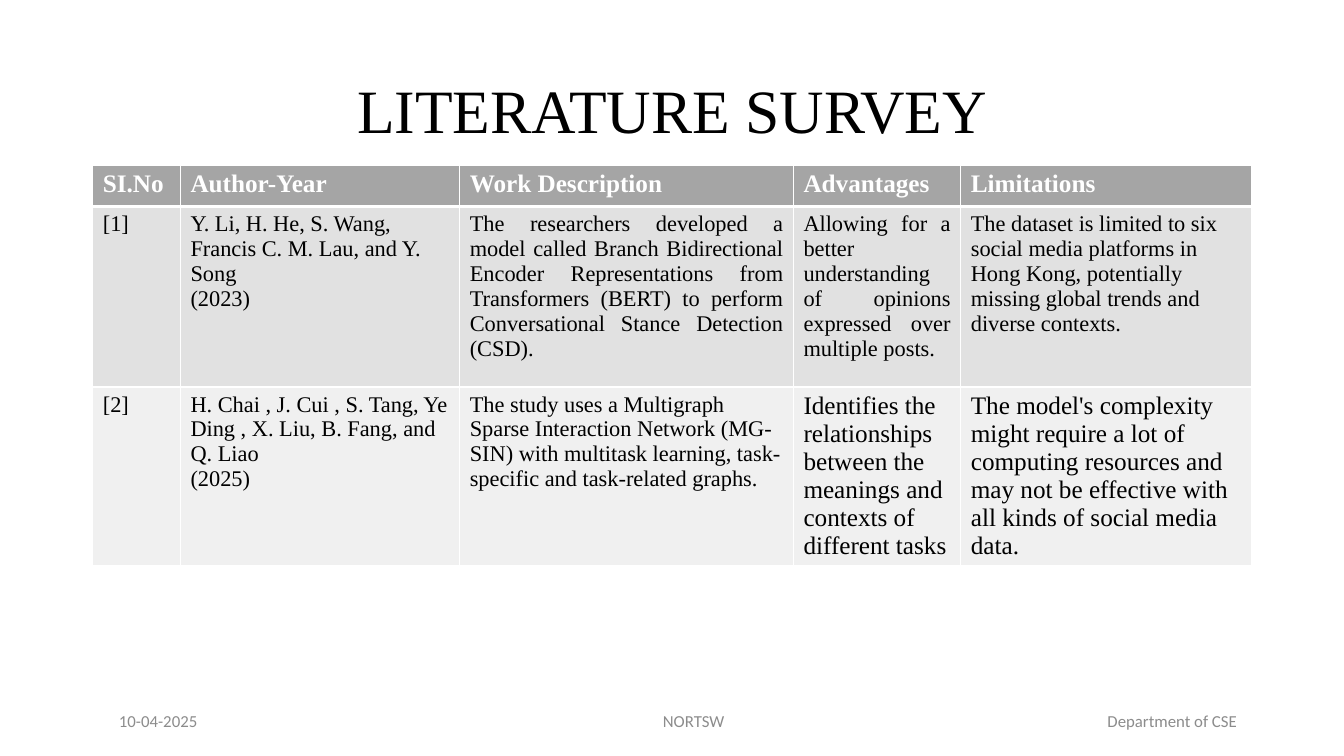
from lxml.etree import SubElement
from pptx import Presentation
from pptx.dml.color import RGBColor as RGB
from pptx.enum.text import MSO_ANCHOR as ANCHOR, PP_ALIGN as ALIGN
from pptx.oxml import parse_xml
from pptx.oxml.ns import nsdecls, qn
from pptx.util import Inches, Pt

COLORS = {"ink": "000000", "header": "A5A5A5", "odd": "E1E1E1",
          "even": "F0F0F0", "white": "FFFFFF", "footer": "8C8C8C"}
SERIF = "Times New Roman"


def write(p, text, size, color, name=SERIF, bold=False):
    """Add one formatted run to a paragraph."""
    r = p.add_run()
    r.text = text
    for key, value in {"size": Pt(size), "name": name, "bold": bold}.items():
        setattr(r.font, key, value)
    r.font.color.rgb = RGB.from_string(COLORS[color])


def add_borders(cell, bottom):
    tcPr = cell._tc.get_or_add_tcPr()
    widths = {"lnL": 1, "lnR": 1, "lnT": 1, "lnB": bottom}
    for i, (side, width) in enumerate(widths.items()):
        tcPr.insert(i, parse_xml(
            f'<a:{side} {nsdecls("a")} w="{Pt(width)}"><a:solidFill>'
            f'<a:srgbClr val="{COLORS["white"]}"/></a:solidFill></a:{side}>'))


prs = Presentation()
prs.slide_width, prs.slide_height = Inches(13.33), Inches(7.5)
s = prs.slides.add_slide(prs.slide_layouts[5])

# Title
title = s.shapes.title
title.left, title.top, title.width, title.height = map(Inches, (0.92, 0.4, 11.5, 1.45))
tf = title.text_frame
tf.vertical_anchor = ANCHOR.MIDDLE
p = tf.paragraphs[0]
p.alignment, p.line_spacing = ALIGN.CENTER, 0.9
write(p, "LITERATURE SURVEY", 44, "ink")

# Survey table
COLS = [0.87, 2.77, 3.31, 1.66, 2.88]
ROWS = [0.41, 1.79, 1.77]
SURVEY = [
    ["SI.No", "Author-Year", "Work Description", "Advantages", "Limitations"],
    ["[1]",
     "Y. Li, H. He, S. Wang, Francis C. M. Lau, and Y. Song\n(2023)",
     "The researchers developed a model called Branch Bidirectional Encoder "
     "Representations from Transformers (BERT) to perform Conversational "
     "Stance Detection (CSD).",
     "Allowing for a better understanding of opinions expressed over multiple posts.",
     "The dataset is limited to six social media platforms in Hong Kong, "
     "potentially missing global trends and diverse contexts."],
    ["[2]",
     "H. Chai , J. Cui , S. Tang, Ye Ding , X. Liu, B. Fang, and Q. Liao\n(2025)",
     "The study uses a Multigraph Sparse Interaction Network (MG-SIN) with "
     "multitask learning, task-specific and task-related graphs.",
     "Identifies the relationships between the meanings and contexts of different tasks",
     "The model's complexity might require a lot of computing resources and may "
     "not be effective with all kinds of social media data."],
]
FILLS = ["header", "odd", "even"]
JUSTIFIED = {(1, 2), (1, 3)}
LARGE = {(2, 3), (2, 4)}

table = s.shapes.add_table(len(ROWS), len(COLS), Inches(0.92), Inches(1.64),
                           Inches(sum(COLS)), Inches(sum(ROWS))).table
for column, width in zip(table.columns, COLS):
    column.width = Inches(width)
for i, (row, height) in enumerate(zip(table.rows, ROWS)):
    row.height = Inches(height)
    is_header = i == 0
    for j, cell in enumerate(row.cells):
        cell.fill.solid()
        cell.fill.fore_color.rgb = RGB.from_string(COLORS[FILLS[i]])
        add_borders(cell, bottom=3 if is_header else 1)
        tf = cell.text_frame
        for k, line in enumerate(SURVEY[i][j].split("\n")):
            p = tf.add_paragraph() if k else tf.paragraphs[0]
            p.alignment = ALIGN.JUSTIFY if (i, j) in JUSTIFIED else ALIGN.LEFT
            write(p, line, 18 if is_header or (i, j) in LARGE else 16,
                  "white" if is_header else "ink", bold=is_header)

# Footer: date at the left, then a centred and a right-aligned tab stop
footer = s.shapes.add_textbox(*map(Inches, (0.75, 6.95, 11.99, 0.4)))
tf = footer.text_frame
tf.word_wrap = True
tf.vertical_anchor = ANCHOR.MIDDLE
tf.margin_left = Inches(0.43)
p = tf.paragraphs[0]
tabs = SubElement(p._p.get_or_add_pPr(), qn("a:tabLst"))
for position, align in ((5.7, "ctr"), (11.09, "r")):
    SubElement(tabs, qn("a:tab"), pos=str(Inches(position)), algn=align)
write(p, "10-04-2025\tNORTSW\tDepartment of CSE", 12, "footer", "Calibri")

prs.save("out.pptx")
